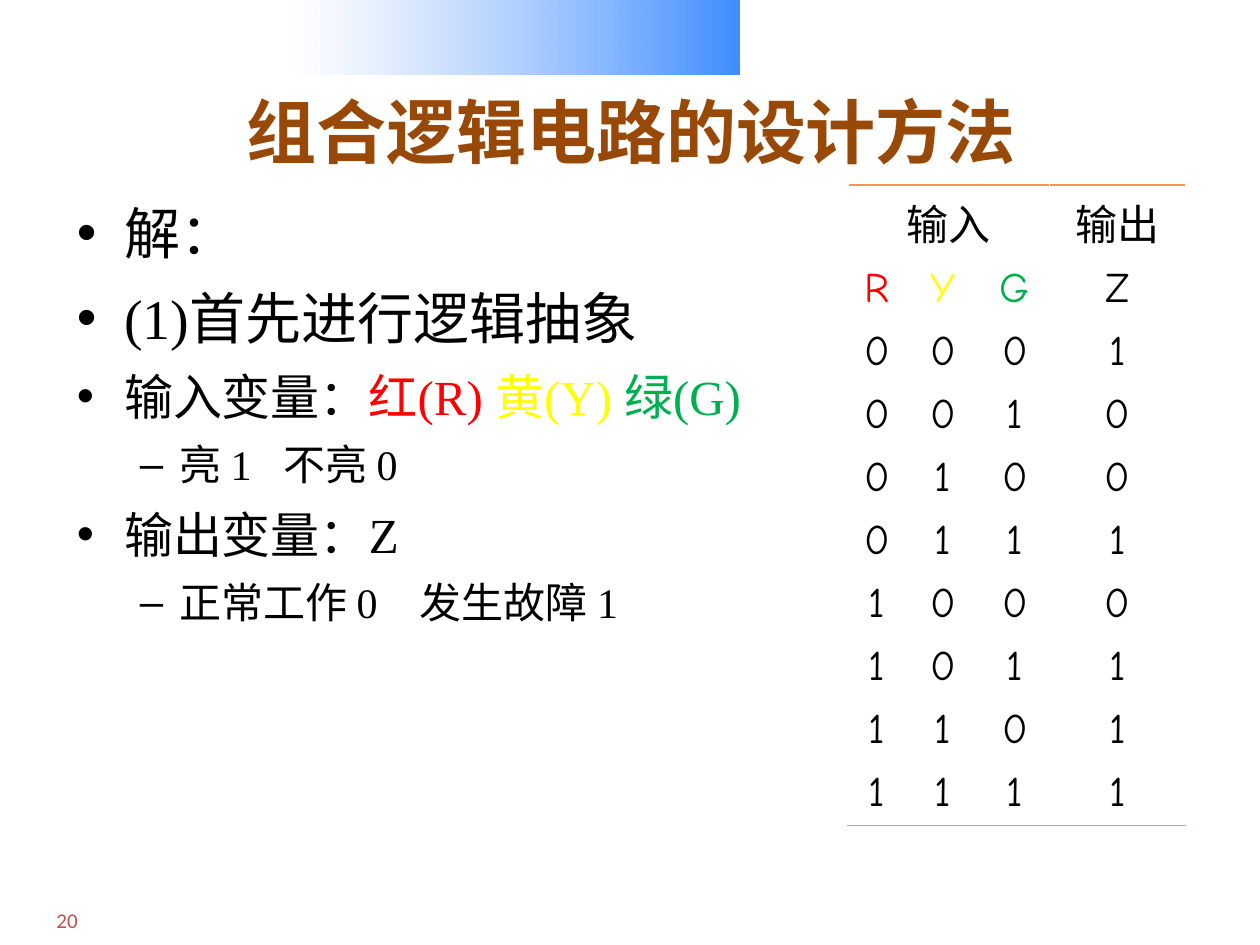
import itertools
from dataclasses import dataclass

import pptx
import pptx.dml.color
import pptx.enum.shapes
import pptx.enum.text
import pptx.oxml
import pptx.oxml.ns
import pptx.util

Inches, Pt = pptx.util.Inches, pptx.util.Pt
RGBColor = pptx.dml.color.RGBColor
PP_ALIGN = pptx.enum.text.PP_ALIGN

WHITE = RGBColor(0xFF, 0xFF, 0xFF)
BLACK = RGBColor(0, 0, 0)
BLUE = RGBColor(0x00, 0x66, 0xFF)
BROWN = RGBColor(0x98, 0x48, 0x07)
BRICK = RGBColor(0xC0, 0x50, 0x4D)
ORANGE = RGBColor(0xF7, 0x96, 0x46)
RED = RGBColor(0xFF, 0, 0)
YELLOW = RGBColor(0xFF, 0xFF, 0)
GREEN = RGBColor(0, 0xB0, 0x50)

SERIF = "Times New Roman"
HAN = "Noto Sans CJK SC"
COMIC = "Comic Neue"


@dataclass
class Piece:
    text: str
    color: RGBColor = BLACK
    spacing: float = 0  # extra points after each character


@dataclass
class Line:
    size: int
    pieces: list[Piece]
    level: int = 0


LINES = [
    Line(32, [Piece("解：")]),
    Line(32, [Piece("(1)首先进行逻辑抽象")]),
    Line(28, [Piece("输入变量："), Piece("红(R) ", RED),
              Piece("黄(Y) ", YELLOW), Piece("绿(G)", GREEN)]),
    Line(24, [Piece("亮 1"), Piece(" ", spacing=12), Piece("不亮 0")], 1),
    Line(28, [Piece("输出变量：Z")]),
    Line(24, [Piece("正常工作 0"), Piece(" ", spacing=18), Piece("发生故障 1")], 1),
]
VARIABLES = [Piece("R", RED), Piece("Y", YELLOW), Piece("G", GREEN), Piece("Z")]


def add_run(paragraph, piece: Piece, size: float, font: str, bold: bool = False) -> None:
    run = paragraph.add_run()
    run.text = piece.text
    run.font.size = Pt(size)
    run.font.name = font
    run.font.bold = bold
    run.font.color.rgb = piece.color
    properties = run._r.get_or_add_rPr()
    if piece.spacing:
        properties.set("spc", str(int(piece.spacing * 100)))
    east_asian = pptx.oxml.parse_xml(
        f'<a:ea {pptx.oxml.ns.nsdecls("a")} typeface="{HAN}"/>')
    properties.find(pptx.oxml.ns.qn("a:latin")).addnext(east_asian)


def place(shape, left: float, top: float, width: float, height: float) -> None:
    shape.left, shape.top = Inches(left), Inches(top)
    shape.width, shape.height = Inches(width), Inches(height)


def fill_cell(cell, piece: Piece, font: str) -> None:
    paragraph = cell.text_frame.paragraphs[0]
    paragraph.alignment = PP_ALIGN.CENTER
    add_run(paragraph, piece, 24, font)


def add_border(cell, side: str) -> None:
    cell._tc.get_or_add_tcPr().insert(0, pptx.oxml.parse_xml(
        f'<a:ln{side} {pptx.oxml.ns.nsdecls("a")} w="{Pt(1)}"><a:solidFill>'
        f'<a:srgbClr val="{ORANGE}"/></a:solidFill></a:ln{side}>'))


def add_band(slide) -> None:
    band = slide.shapes.add_shape(pptx.enum.shapes.MSO_SHAPE.RECTANGLE,
                                  Inches(2.32), 0, Inches(3.55), Inches(0.59))
    band.shadow.inherit = False
    band.line.fill.background()
    band.fill.gradient()
    band.fill.gradient_angle = 0
    for stop, color in zip(band.fill.gradient_stops, (WHITE, BLUE)):
        stop.color.rgb = color
    colors = band._element.spPr.iter(pptx.oxml.ns.qn("a:srgbClr"))
    for color, opacity in zip(list(colors), (48, 75)):
        color.append(pptx.oxml.parse_xml(
            f'<a:alpha {pptx.oxml.ns.nsdecls("a")} val="{opacity * 1000}"/>'))


def add_page_number(slide) -> None:
    number = slide.shapes.add_textbox(Inches(0.35), Inches(7.15), Inches(0.47), Inches(0.3))
    number.text_frame.word_wrap = True
    add_run(number.text_frame.paragraphs[0], Piece("20", BRICK), 12, "Calibri")


def write_body(body) -> None:
    frame = body.text_frame
    frame.auto_size = pptx.enum.text.MSO_AUTO_SIZE.NONE
    for index, line in enumerate(LINES):
        paragraph = frame.add_paragraph() if index else frame.paragraphs[0]
        paragraph.level = line.level
        paragraph.line_spacing = 1.1
        for piece in line.pieces:
            add_run(paragraph, piece, line.size, SERIF)


def add_truth_table(slide) -> None:
    table = slide.shapes.add_table(10, 4, Inches(6.73), Inches(1.47),
                                   Inches(2.68), Inches(4.9)).table
    table.first_row = table.horz_banding = False
    for column, width in zip(table.columns, (0.46, 0.59, 0.55, 1.08)):
        column.width = Inches(width)
    for index, row in enumerate(table.rows):
        row.height = Inches(0.48 if index else 0.58)
    for cell in table.iter_cells():
        cell.fill.background()

    # Headings, then every input combination with its fault output
    table.cell(0, 0).merge(table.cell(0, 2))
    fill_cell(table.cell(0, 0), Piece("输入"), HAN)
    fill_cell(table.cell(0, 3), Piece("输出"), HAN)
    rows = [VARIABLES]
    for inputs in itertools.product((0, 1), repeat=3):
        fault = int(sum(inputs) != 1)
        rows.append([Piece(str(bit)) for bit in (*inputs, fault)])
    for row_index, row in enumerate(rows, start=1):
        for column, piece in enumerate(row):
            fill_cell(table.cell(row_index, column), piece, COMIC)

    for column in range(4):
        add_border(table.cell(0, column), "T")
        add_border(table.cell(9, column), "B")


def main() -> None:
    deck = pptx.Presentation()
    deck.slide_width, deck.slide_height = Inches(10), Inches(7.5)
    slide = deck.slides.add_slide(deck.slide_layouts[1])

    # Background decoration and page number
    add_band(slide)
    add_page_number(slide)

    # Title and solution steps
    title, body = slide.shapes.title, slide.placeholders[1]
    place(title, 0.51, 0.6, 9, 0.87)
    heading = title.text_frame.paragraphs[0]
    heading.alignment = PP_ALIGN.CENTER
    add_run(heading, Piece("组合逻辑电路的设计方法", BROWN), 40, SERIF, bold=True)
    place(body, 0.51, 1.47, 9, 5)
    write_body(body)

    # Truth table
    add_truth_table(slide)
    deck.save("out.pptx")


if __name__ == "__main__":
    main()
